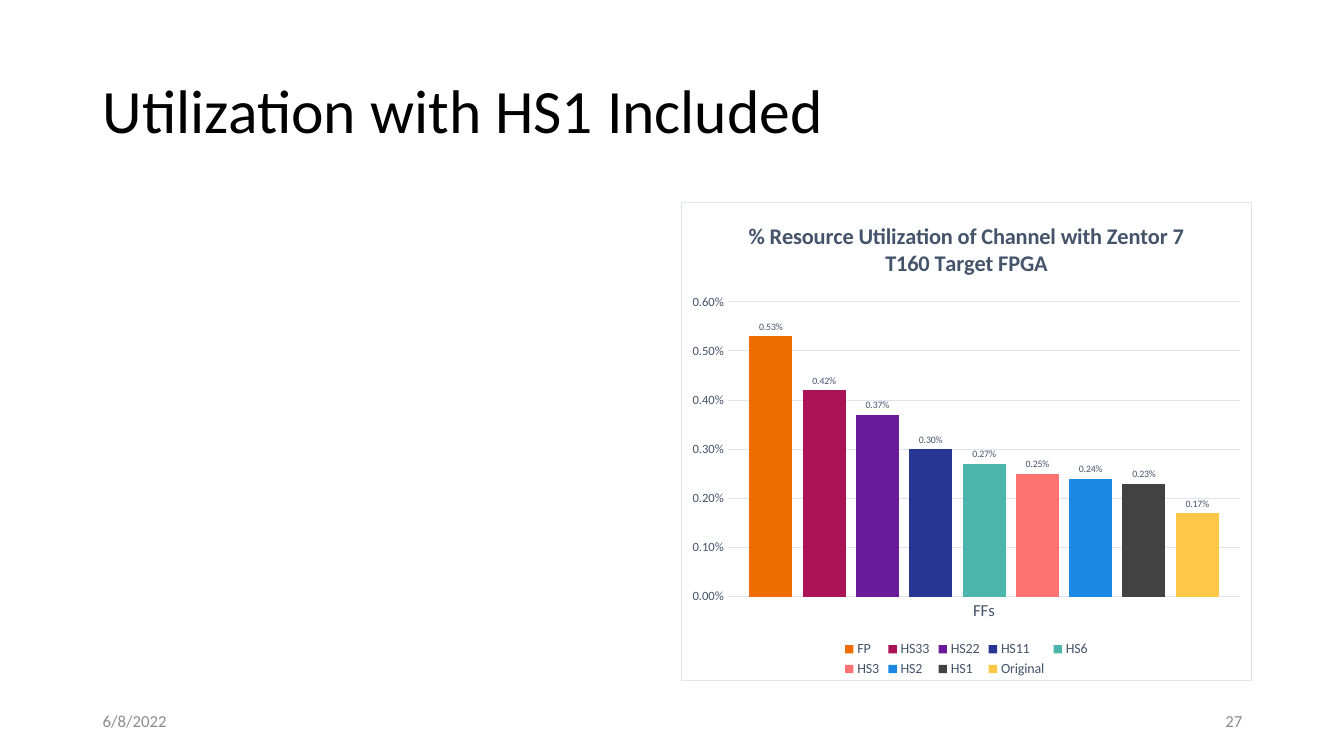
from typing import NamedTuple

from lxml import etree
from pptx import Presentation
from pptx.chart.data import CategoryChartData
from pptx.dml.color import RGBColor
from pptx.enum.chart import XL_CHART_TYPE as ChartType
from pptx.enum.chart import XL_LABEL_POSITION as LabelPos
from pptx.enum.chart import XL_LEGEND_POSITION as LegendPos
from pptx.enum.chart import XL_TICK_MARK as Tick
from pptx.enum.text import MSO_ANCHOR as Anchor
from pptx.enum.text import PP_ALIGN as Align
from pptx.util import Inches, Pt

FONT = "Calibri"
SLATE, PALE, GREY = "44546A", "E0E5EB", "8C8C8C"
PERCENT = "0.00%"


class Bar(NamedTuple):
    name: str
    value: float
    color: str


class Footer(NamedTuple):
    text: str
    left: float
    align: Align


BARS = [
    Bar("FP", 0.0053, "EF6C00"),
    Bar("HS33", 0.0042, "AC1356"),
    Bar("HS22", 0.0037, "6A1B9A"),
    Bar("HS11", 0.0030, "273693"),
    Bar("HS6", 0.0027, "4CB6AC"),
    Bar("HS3", 0.0025, "FE7272"),
    Bar("HS2", 0.0024, "1C88E3"),
    Bar("HS1", 0.0023, "424242"),
    Bar("Original", 0.0017, "FFC746"),
]
FOOTERS = [
    Footer("6/8/2022", 0.92, Align.LEFT),
    Footer("27", 9.42, Align.RIGHT),
]


def rgb(color: str) -> RGBColor:
    return RGBColor.from_string(color)


def style_font(font, size: float, color: str, bold: bool = False) -> None:
    font.name, font.size, font.bold = FONT, Pt(size), bold
    font.color.rgb = rgb(color)


def style_line(line, color: str) -> None:
    line.color.rgb = rgb(color)
    line.width = Pt(0.75)


def add_footer(slide, footer: Footer) -> None:
    box = slide.shapes.add_textbox(Inches(footer.left), Inches(6.95), Inches(3), Inches(0.4))
    tf = box.text_frame
    tf.word_wrap = True
    tf.vertical_anchor = Anchor.MIDDLE
    tf.text = footer.text
    p = tf.paragraphs[0]
    p.alignment = footer.align
    style_font(p.runs[0].font, 12, GREY)


def frame_chart(chart, fill: str, border: str) -> None:
    """Give the chart area a fill and a thin border."""
    c = "http://schemas.openxmlformats.org/drawingml/2006/chart"
    a = "http://schemas.openxmlformats.org/drawingml/2006/main"
    sp_pr = etree.fromstring(
        f'<c:spPr xmlns:c="{c}" xmlns:a="{a}">'
        f'<a:solidFill><a:srgbClr val="{fill}"/></a:solidFill>'
        f'<a:ln w="{Pt(0.75)}"><a:solidFill><a:srgbClr val="{border}"/></a:solidFill></a:ln>'
        "</c:spPr>"
    )
    chart.element.find(f"{{{c}}}chart").addnext(sp_pr)


def add_utilization_chart(slide) -> None:
    data = CategoryChartData(number_format=PERCENT)
    data.categories = ["FFs"]
    for bar in BARS:
        data.add_series(bar.name, [bar.value])
    chart = slide.shapes.add_chart(
        ChartType.COLUMN_CLUSTERED, Inches(6.75), Inches(2), Inches(5.67), Inches(4.76), data
    ).chart
    style_font(chart.font, 10, "000000")
    frame_chart(chart, "FFFFFF", PALE)

    # Chart title and legend
    tf = chart.chart_title.text_frame
    tf.text = "% Resource Utilization of Channel with Zentor 7 T160 Target FPGA"
    style_font(tf.paragraphs[0].runs[0].font, 16, SLATE, bold=True)
    chart.chart_title.include_in_layout = False
    chart.has_legend = True
    chart.legend.position = LegendPos.BOTTOM
    chart.legend.include_in_layout = False
    style_font(chart.legend.font, 10, SLATE)

    # Axes
    cat_axis, val_axis = chart.category_axis, chart.value_axis
    for axis, size in ((cat_axis, 12), (val_axis, 9)):
        axis.major_tick_mark = axis.minor_tick_mark = Tick.NONE
        style_font(axis.tick_labels.font, size, SLATE)
    style_line(cat_axis.format.line, PALE)
    val_axis.format.line.fill.background()
    style_line(val_axis.major_gridlines.format.line, PALE)
    val_axis.minimum_scale, val_axis.maximum_scale = 0, 0.006
    val_axis.major_unit = 0.001
    val_axis.tick_labels.number_format = PERCENT
    val_axis.tick_labels.number_format_is_linked = False

    # Columns and their labels
    plot = chart.plots[0]
    plot.gap_width, plot.overlap = 100, -24
    plot.vary_by_categories = False
    for series, bar in zip(plot.series, BARS):
        series.format.fill.solid()
        series.format.fill.fore_color.rgb = rgb(bar.color)
        labels = series.data_labels
        labels.show_value = True
        labels.position = LabelPos.OUTSIDE_END
        labels.number_format = PERCENT
        labels.number_format_is_linked = False
        style_font(labels.font, 7, SLATE)


prs = Presentation()
prs.slide_width, prs.slide_height = Inches(13.33), Inches(7.5)
slide = prs.slides.add_slide(prs.slide_layouts[5])

# Slide title
title = slide.shapes.title
title.left, title.top, title.width, title.height = (Inches(n) for n in (0.92, 0.4, 11.5, 1.45))
tf = title.text_frame
tf.text = "Utilization with HS1 Included"
tf.vertical_anchor = Anchor.MIDDLE
p = tf.paragraphs[0]
p.alignment, p.line_spacing = Align.LEFT, 0.9
style_font(p.runs[0].font, 44, "000000")

# Chart, date and slide number
add_utilization_chart(slide)
for footer in FOOTERS:
    add_footer(slide, footer)

prs.save("out.pptx")
